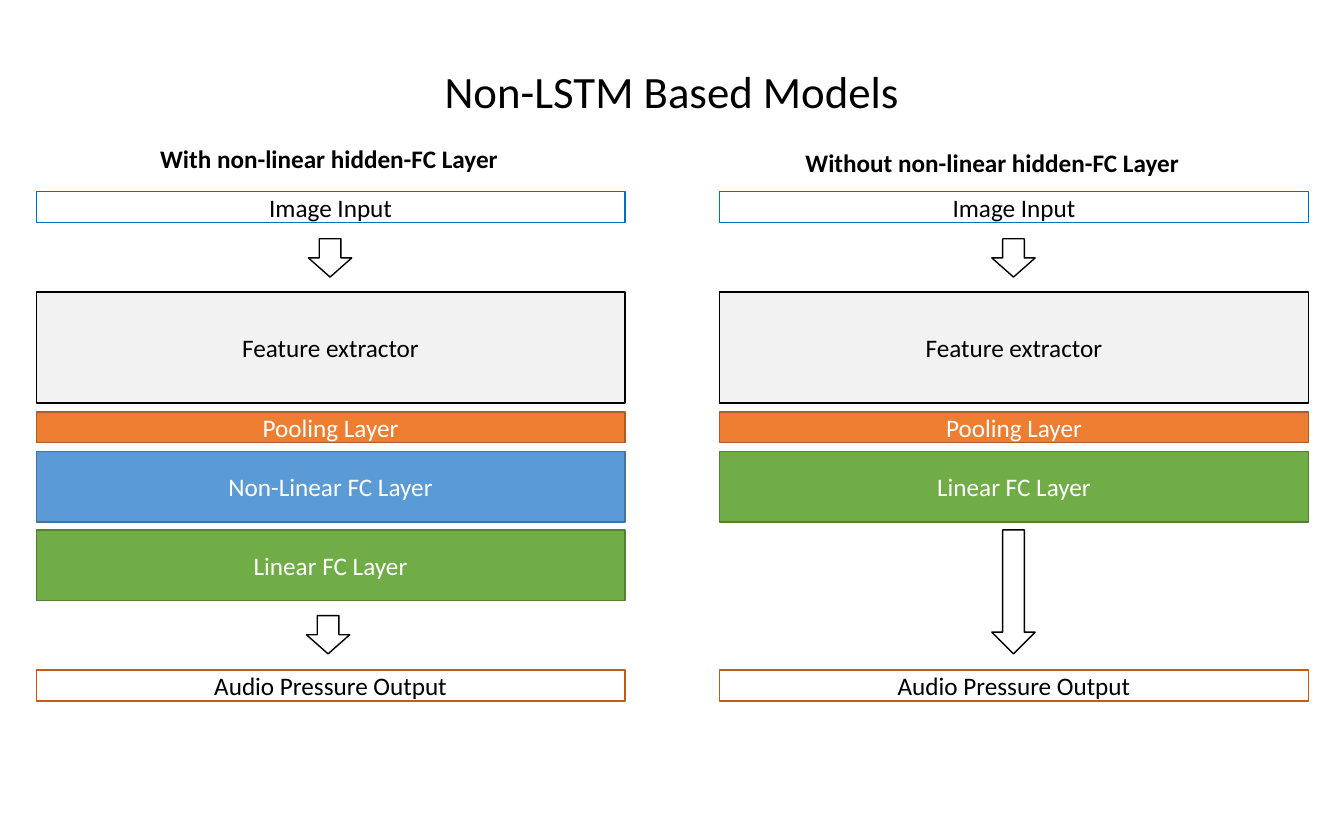
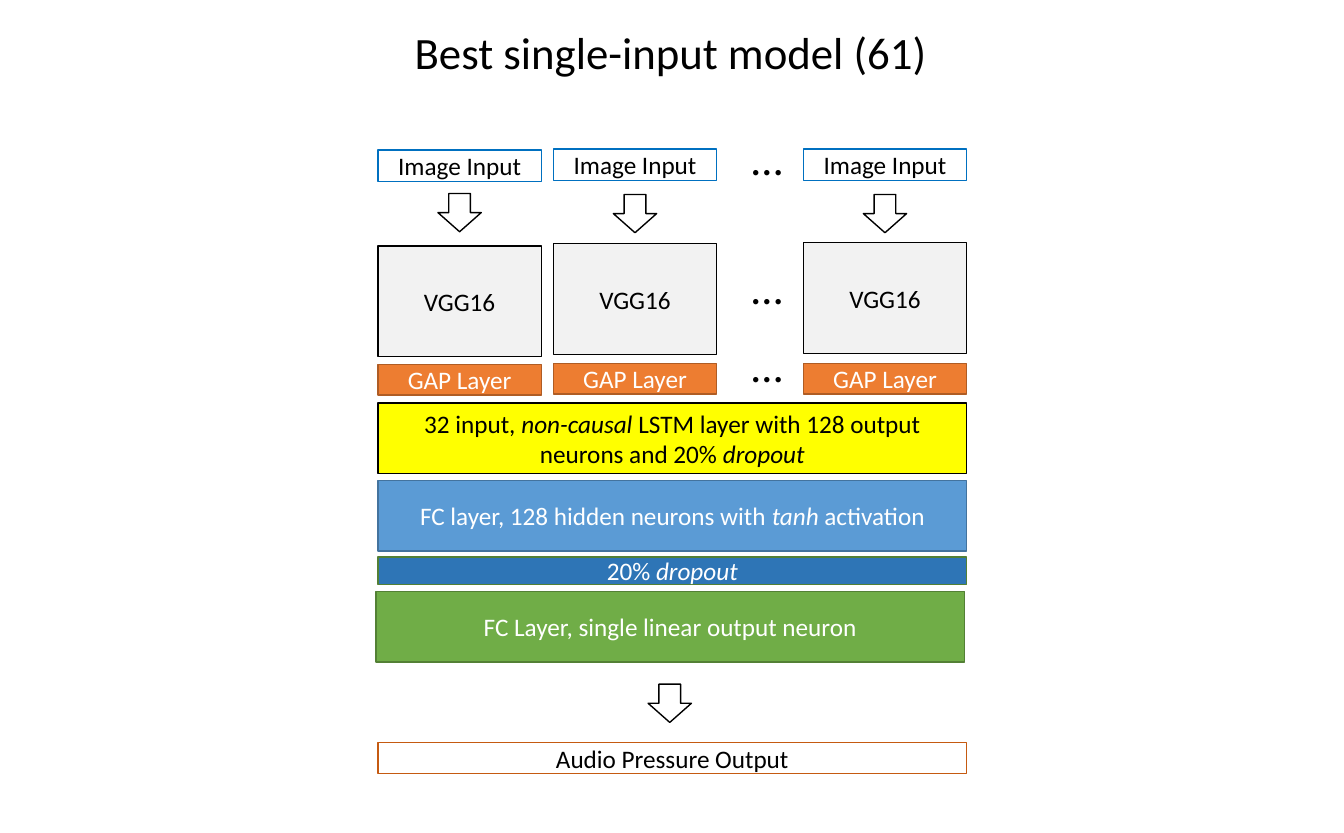
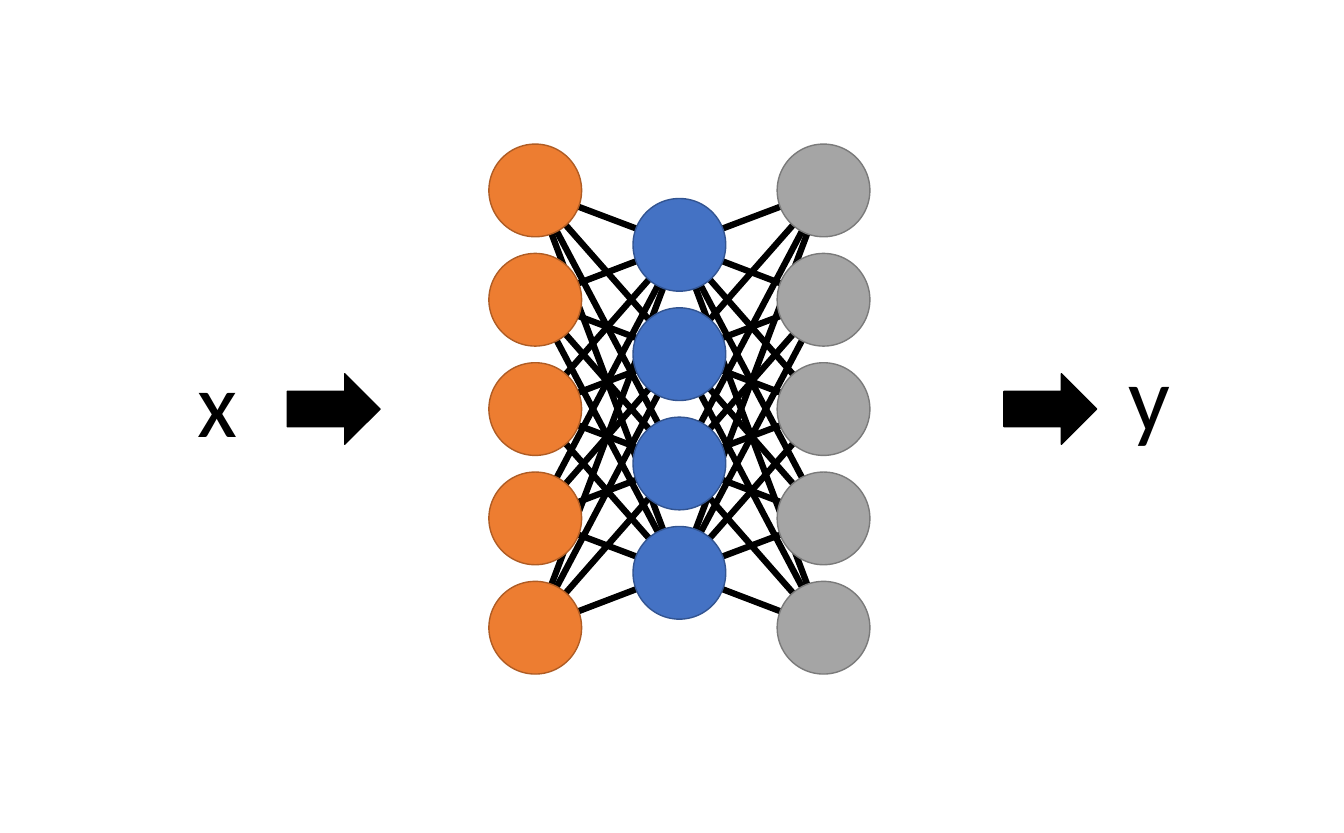
from dataclasses import dataclass
from itertools import product
from typing import NamedTuple, Optional

from pptx import Presentation
from pptx.dml.color import RGBColor
from pptx.enum.shapes import MSO_CONNECTOR, MSO_SHAPE
from pptx.enum.text import MSO_ANCHOR, MSO_AUTO_SIZE, PP_ALIGN
from pptx.oxml.ns import qn
from pptx.util import Inches, Pt

RECT, OVAL = MSO_SHAPE.RECTANGLE, MSO_SHAPE.OVAL
DOWN, RIGHT = MSO_SHAPE.DOWN_ARROW, MSO_SHAPE.RIGHT_ARROW
STRAIGHT = MSO_CONNECTOR.STRAIGHT
CENTER, LEFT = PP_ALIGN.CENTER, PP_ALIGN.LEFT
TOP, MIDDLE = MSO_ANCHOR.TOP, MSO_ANCHOR.MIDDLE
GROW = MSO_AUTO_SIZE.SHAPE_TO_FIT_TEXT

BLACK = RGBColor(0x00, 0x00, 0x00)
WHITE = RGBColor(0xFF, 0xFF, 0xFF)
PALE = RGBColor(0xF2, 0xF2, 0xF2)
YELLOW = RGBColor(0xFF, 0xFF, 0x00)
ORANGE = RGBColor(0xED, 0x7D, 0x31)
BROWN = RGBColor(0xAF, 0x5C, 0x24)
RUST = RGBColor(0xC5, 0x5A, 0x11)
SKY = RGBColor(0x5B, 0x9B, 0xD5)
STEEL = RGBColor(0x43, 0x73, 0x9E)
AZURE = RGBColor(0x00, 0x70, 0xC0)
DENIM = RGBColor(0x2E, 0x75, 0xB6)
BLUE = RGBColor(0x44, 0x72, 0xC4)
NAVY = RGBColor(0x32, 0x54, 0x91)
GREEN = RGBColor(0x70, 0xAD, 0x47)
FOREST = RGBColor(0x53, 0x80, 0x35)
GRAY = RGBColor(0xA5, 0xA5, 0xA5)
SLATE = RGBColor(0x7A, 0x7A, 0x7A)

PAGE_W, PAGE_H = Inches(40 / 3), Inches(21 / 2.54)
FONT = "Calibri"
BODY, TITLE, SYMBOL = 18, 32, 66
WIDE = 5.84
ARROW_W, ARROW_H = 0.43, 0.38


class Box(NamedTuple):
    left: float
    top: float
    width: float
    height: float

    def inches(self) -> list:
        return [Inches(value) for value in self]


class Look(NamedTuple):
    fill: Optional[RGBColor]
    line: RGBColor
    ink: RGBColor = WHITE


INPUT = Look(None, AZURE, BLACK)
OUTPUT = Look(None, RUST, BLACK)
FEATURE = Look(PALE, BLACK, BLACK)
POOL = Look(ORANGE, BROWN)
HIDDEN = Look(SKY, STEEL)
LINEAR = Look(GREEN, FOREST)
MEMORY = Look(YELLOW, BLACK, BLACK)
DROPOUT = Look(DENIM, FOREST)
HOLLOW = Look(WHITE, BLACK)
SOLID = Look(BLACK, BLACK)


@dataclass(frozen=True)
class Bar:
    text: str
    top: float
    height: float
    look: Look


@dataclass(frozen=True)
class Stack:
    """A titled column of layers; arrows hold left, top and height."""
    left: float
    label: str
    place: Box
    bars: tuple
    arrows: tuple


@dataclass(frozen=True)
class Lane:
    """One image branch, with the top of each of its parts."""
    left: float
    image: float
    arrow: float
    net: float
    pool: float


@dataclass(frozen=True)
class Layer:
    left: float
    top: float
    count: int
    look: Look

    def spots(self) -> list:
        return [Box(self.left, self.top + i * STEP, NODE, NODE)
                for i in range(self.count)]


NODE, STEP = 0.92, 4.34 / 4

COMMON = (
    Bar("Image Input", 1.9, 0.31, INPUT),
    Bar("Feature extractor", 2.9, 1.1, FEATURE),
    Bar("Pooling Layer", 4.09, 0.3, POOL),
    Bar("Audio Pressure Output", 6.65, 0.31, OUTPUT),
)
STACKS = (
    Stack(0.36, "With non-linear hidden-FC Layer", Box(0.67, 1.37, 5.19, 0.4),
          (Bar("Non-Linear FC Layer", 4.48, 0.7, HIDDEN),
           Bar("Linear FC Layer", 5.26, 0.7, LINEAR)),
          ((3.06, 2.37, ARROW_H), (3.04, 6.11, ARROW_H))),
    Stack(7.14, "Without non-linear hidden-FC Layer", Box(7.25, 1.41, 5.19, 0.4),
          (Bar("Linear FC Layer", 4.48, 0.7, LINEAR),),
          ((9.84, 2.37, ARROW_H), (9.84, 5.26, 1.23))),
)

LANE_W = 1.62
LANES = (
    Lane(3.75, 1.49, 1.92, 2.44, 3.62),
    Lane(5.49, 1.48, 1.93, 2.42, 3.61),
    Lane(7.97, 1.48, 1.93, 2.41, 3.61),
)
TRUNK = (
    (3.75, Bar("32 input, *non-causal* LSTM layer with 128 output neurons "
               "and 20% *dropout*", 4, 0.7, MEMORY)),
    (3.75, Bar("FC layer, 128 hidden neurons with *tanh* activation", 4.77, 0.7, HIDDEN)),
    (3.75, Bar("20% *dropout*", 5.53, 0.27, DROPOUT)),
    (3.73, Bar("FC Layer, single linear output neuron", 5.87, 0.7, LINEAR)),
    (3.75, Bar("Audio Pressure Output", 7.37, 0.31, OUTPUT)),
)

LAYERS = (
    Layer(4.85, 1.43, 5, POOL),
    Layer(6.28, 1.97, 4, Look(BLUE, NAVY)),
    Layer(7.71, 1.43, 5, Look(GRAY, SLATE)),
)


def write(frame, text: str, ink: RGBColor = BLACK, size: int = BODY,
          bold: bool = False, align=CENTER, anchor=MIDDLE) -> None:
    """Fill a text frame; words between asterisks are italic."""
    frame.word_wrap = True
    frame.vertical_anchor = anchor
    para = frame.paragraphs[0]
    para.alignment = align
    for i, part in enumerate(text.split("*")):
        if not part:
            continue
        run = para.add_run()
        run.text = part
        style = {"name": FONT, "size": Pt(size), "bold": bold, "italic": i % 2 == 1}
        for key, value in style.items():
            setattr(run.font, key, value)
        run.font.color.rgb = ink


def add_text(slide, box: Box, text: str, **style) -> None:
    frame = slide.shapes.add_textbox(*box.inches()).text_frame
    write(frame, text, **style)
    frame.auto_size = GROW


def add_title(slide, box: Box, text: str) -> None:
    add_text(slide, box, text, size=TITLE, anchor=TOP)


def add_shape(slide, kind, box: Box, look: Look, text: str = "") -> None:
    shape = slide.shapes.add_shape(kind, *box.inches())
    shape.shadow.inherit = False
    if look.fill is None:
        shape.fill.background()
    else:
        shape.fill.solid()
        shape.fill.fore_color.rgb = look.fill
    shape.line.color.rgb = look.line
    shape.line.width = Pt(1)
    if text:
        write(shape.text_frame, text, look.ink)


def add_bar(slide, left: float, bar: Bar, width: float = WIDE) -> None:
    add_shape(slide, RECT, Box(left, bar.top, width, bar.height), bar.look, bar.text)


def add_arrow(slide, left: float, top: float, height: float = ARROW_H) -> None:
    add_shape(slide, DOWN, Box(left, top, ARROW_W, height), HOLLOW)


def add_link(slide, start: Box, end: Box) -> None:
    """Join the centres of two nodes."""
    ends = [Inches(value + NODE / 2) for value in (*start[:2], *end[:2])]
    link = slide.shapes.add_connector(STRAIGHT, *ends)
    link.line.color.rgb = BLACK
    link.line.width = Pt(4.5)
    props = link._element.spPr
    props.append(props.makeelement(qn("a:effectLst"), {}))


def draw_stacks(slide) -> None:
    add_title(slide, Box(4.07, 0.58, 5.19, 0.64), "Non-LSTM Based Models")
    for stack in STACKS:
        add_text(slide, stack.place, stack.label, bold=True, anchor=TOP)
        for bar in COMMON + stack.bars:
            add_bar(slide, stack.left, bar)
        for arrow in stack.arrows:
            add_arrow(slide, *arrow)


def draw_single(slide) -> None:
    add_title(slide, Box(3.58, 0.2, 6.15, 0.64), "Best single-input model (61)")
    for lane in LANES:
        for bar in (Bar("Image Input", lane.image, 0.31, INPUT),
                    Bar("VGG16", lane.net, 1.1, FEATURE),
                    Bar("GAP Layer", lane.pool, 0.3, POOL)):
            add_bar(slide, lane.left, bar, LANE_W)
        add_arrow(slide, lane.left + (LANE_W - ARROW_W) / 2, lane.arrow)
    for top in (1.25, 2.53, 3.3):
        add_title(slide, Box(7.36, top, 0.36, 0.64), "…")
    for left, bar in TRUNK:
        add_bar(slide, left, bar)
    add_arrow(slide, 6.43, 6.79)


def draw_network(slide) -> None:
    for near, far in zip(LAYERS, LAYERS[1:]):
        for start, end in product(near.spots(), far.spots()):
            add_link(slide, start, end)
    for layer in LAYERS:
        for spot in layer.spots():
            add_shape(slide, OVAL, spot, layer.look)
    for left in (2.85, 9.96):
        add_shape(slide, RIGHT, Box(left, 3.71, 0.92, 0.7), SOLID)
    for text, left, top in (("x", 1.86, 3.37), ("y", 11.1, 3.31)):
        add_text(slide, Box(left, top, 0.77, 1.21), text, size=SYMBOL, align=LEFT)


def main() -> None:
    deck = Presentation()
    deck.slide_width, deck.slide_height = PAGE_W, PAGE_H
    blank = deck.slide_layouts[6]
    for draw in (draw_stacks, draw_single, draw_network):
        draw(deck.slides.add_slide(blank))
    deck.save("out.pptx")


if __name__ == "__main__":
    main()
